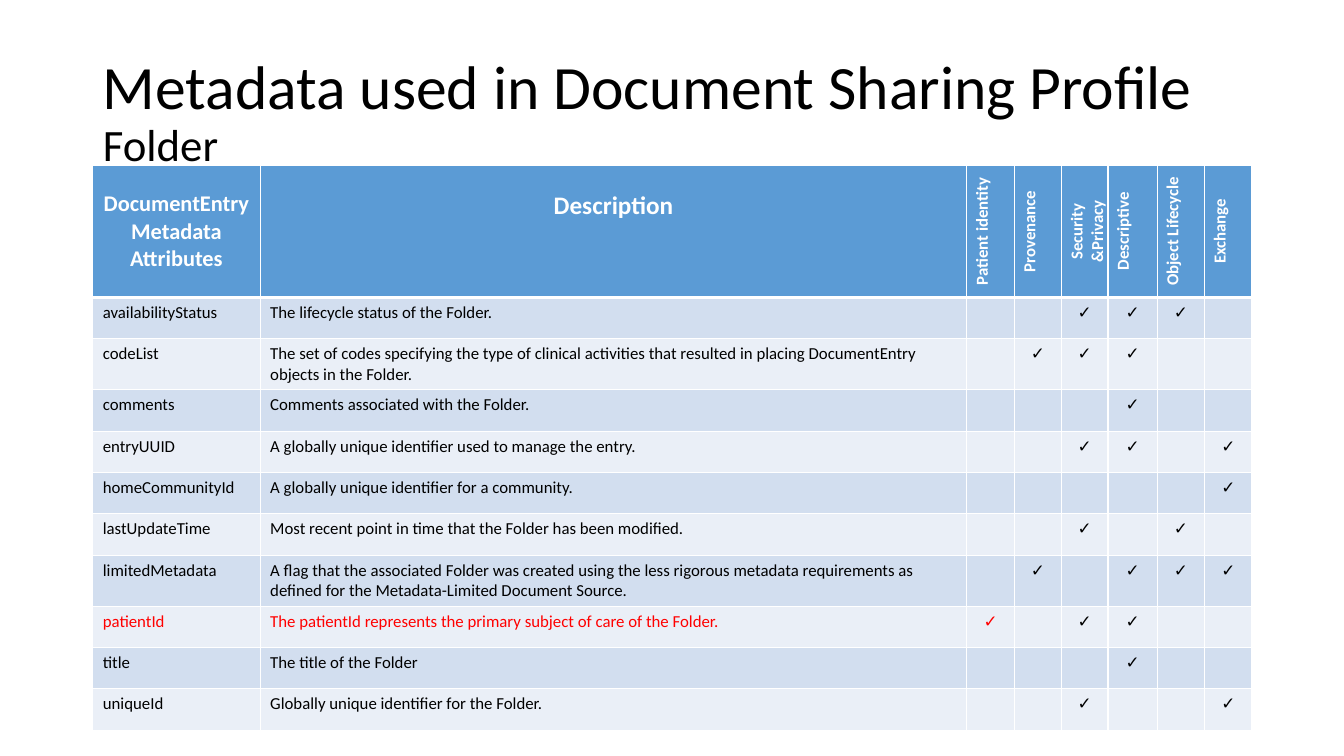
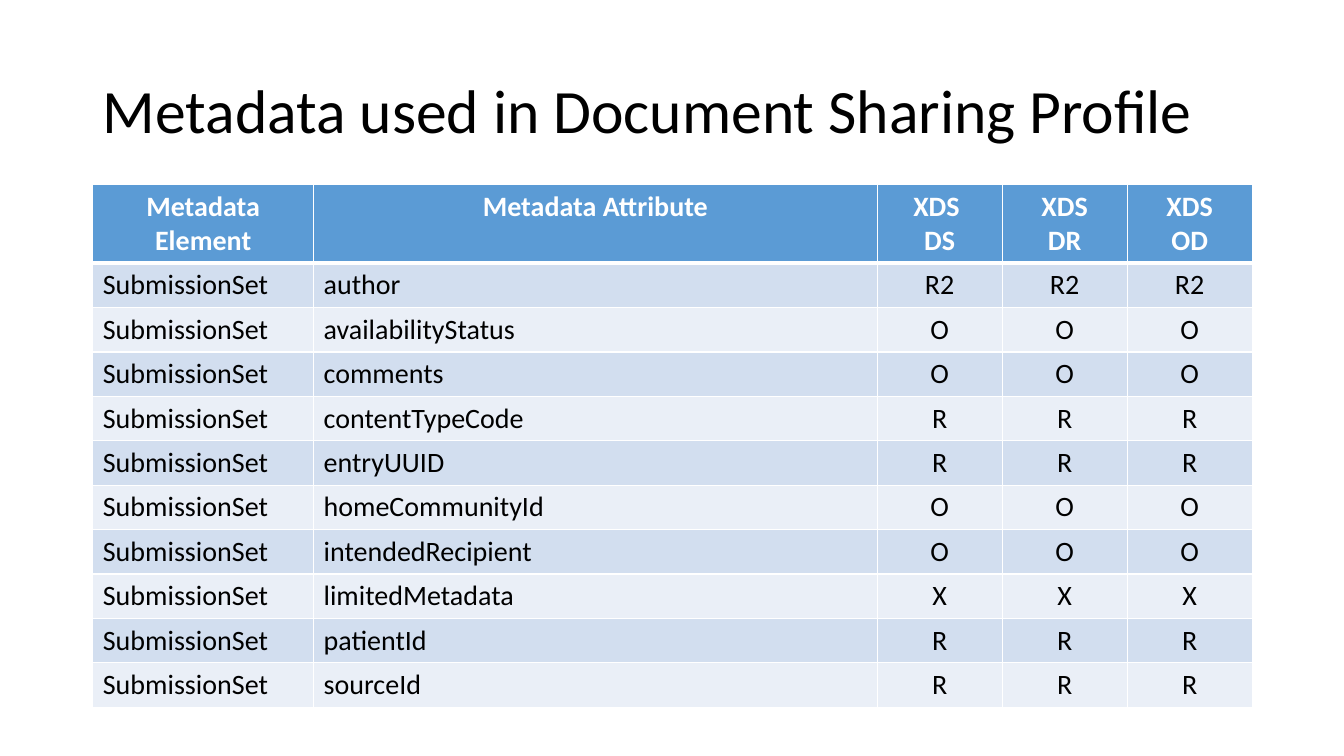
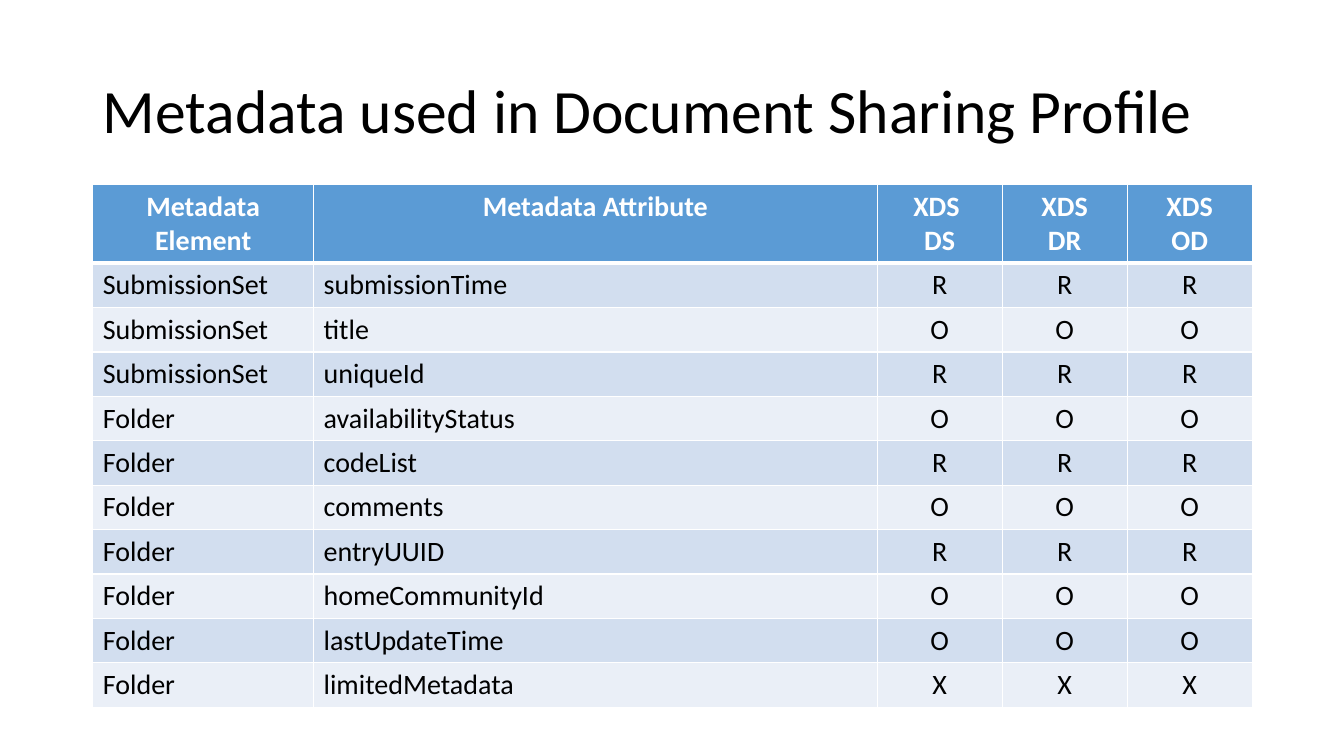
from lxml.etree import SubElement
from pptx import Presentation
from pptx.dml.color import RGBColor
from pptx.enum.text import MSO_ANCHOR as Anchor, MSO_AUTO_SIZE as AutoSize, PP_ALIGN as Align
from pptx.oxml.ns import qn
from pptx.util import Inches, Pt

COLORS = {
    "text": "000000",
    "white": "FFFFFF",
    "header": "5B9BD5",
    "band_dark": "D2DEEF",
    "band_light": "EAEFF7",
    "alert": "FF0000",
}
FONT = "Calibri"
TITLE = "Metadata used in Document Sharing Profile"
TITLE_BOX = (0.92, 0.4, 11.5, 1.45)
TABLE_LEFT = 0.92
ROW_HEIGHT = 0.41
TEXT_COLUMNS = 2

FOLDER_WIDTHS = [1.66, 7.01, 0.47, 0.47, 0.46, 0.49, 0.47, 0.47]
FOLDER_HEADINGS = [
    "DocumentEntry Metadata Attributes", "Description", "Patient identity", "Provenance",
    "Security &Privacy", "Descriptive", "Object Lifecycle", "Exchange",
]
FOLDER_ROWS = [
    ("availabilityStatus", "The lifecycle status of the Folder.", "--✓✓✓-"),
    ("codeList", "The set of codes specifying the type of clinical activities that resulted in "
     "placing DocumentEntry objects in the Folder.", "-✓✓✓--"),
    ("comments", "Comments associated with the Folder.", "---✓--"),
    ("entryUUID", "A globally unique identifier used to manage the entry.", "--✓✓-✓"),
    ("homeCommunityId", "A globally unique identifier for a community.", "-----✓"),
    ("lastUpdateTime", "Most recent point in time that the Folder has been modified.", "--✓-✓-"),
    ("limitedMetadata", "A flag that the associated Folder was created using the less rigorous "
     "metadata requirements as defined for the Metadata-Limited Document Source.", "-✓-✓✓✓"),
    ("patientId", "The patientId represents the primary subject of care of the Folder.", "✓-✓✓--"),
    ("title", "The title of the Folder", "---✓--"),
    ("uniqueId", "Globally unique identifier for the Folder.", "--✓--✓"),
]
ALERT_ROW = 8
ALERT_COLUMNS = 3

PROFILE_WIDTHS = [2.19, 5.59, 1.24, 1.24, 1.24]
PROFILE_HEADINGS = ["Metadata Element", "Metadata Attribute", "XDS \nDS", "XDS\nDR", "XDS\nOD"]
PROFILE_PAGES = [
    [("SubmissionSet", [
        ("author", "R2"), ("availabilityStatus", "O"), ("comments", "O"),
        ("contentTypeCode", "R"), ("entryUUID", "R"), ("homeCommunityId", "O"),
        ("intendedRecipient", "O"), ("limitedMetadata", "X"), ("patientId", "R"),
        ("sourceId", "R")])],
    [("SubmissionSet", [("submissionTime", "R"), ("title", "O"), ("uniqueId", "R")]),
     ("Folder", [
         ("availabilityStatus", "O"), ("codeList", "R"), ("comments", "O"), ("entryUUID", "R"),
         ("homeCommunityId", "O"), ("lastUpdateTime", "O"), ("limitedMetadata", "X")])],
]


def rgb(name):
    return RGBColor.from_string(COLORS[name])


def add_span(para, text, size, color="text", bold=False):
    span = para.add_run()
    span.text = text
    span.font.name = FONT
    span.font.size = Pt(size)
    span.font.bold = bold
    span.font.color.rgb = rgb(color)


def write(frame, text, align=Align.LEFT, **style):
    for index, line in enumerate(text.split("\n")):
        para = frame.add_paragraph() if index else frame.paragraphs[0]
        para.alignment = align
        add_span(para, line, **style)


def add_page(deck, subtitle=None):
    page = deck.slides.add_slide(deck.slide_layouts[5])
    title = page.shapes.title
    title.left, title.top, title.width, title.height = map(Inches, TITLE_BOX)
    frame = title.text_frame
    frame.word_wrap = True
    frame.auto_size = AutoSize.NONE
    frame.vertical_anchor = Anchor.MIDDLE
    write(frame, TITLE, size=44)
    para = frame.paragraphs[0]
    para.line_spacing = 0.9
    if subtitle:
        para.add_line_break()
        add_span(para, subtitle, size=32)
    return page


def set_borders(cell, top, bottom):
    properties = cell._tc.get_or_add_tcPr()
    widths = {"a:lnL": 1, "a:lnR": 1, "a:lnT": top, "a:lnB": bottom}
    for position, (tag, width) in enumerate(widths.items()):
        line = SubElement(properties, qn(tag), w=str(Pt(width)))
        fill = SubElement(line, qn("a:solidFill"))
        SubElement(fill, qn("a:srgbClr"), val=COLORS["white"])
        properties.insert(position, line)


def row_color(row):
    if row == 0:
        return "header"
    return "band_dark" if row % 2 else "band_light"


def add_grid(page, top, widths, header_height, rows, style_cell):
    heights = [header_height] + [ROW_HEIGHT] * (len(rows) - 1)
    box = page.shapes.add_table(
        len(rows), len(widths), Inches(TABLE_LEFT), Inches(top),
        Inches(sum(widths)), Inches(sum(heights)))
    page.shapes.title.element.addprevious(box.element)
    table = box.table
    for column, width in zip(table.columns, widths):
        column.width = Inches(width)
    for row, height in zip(table.rows, heights):
        row.height = Inches(height)
    for row, texts in enumerate(rows):
        for column, text in enumerate(texts):
            cell = table.cell(row, column)
            cell.fill.solid()
            cell.fill.fore_color.rgb = rgb(row_color(row))
            set_borders(cell, top=3 if row == 1 else 1, bottom=1 if row else 3)
            style = {"color": "text" if row else "white", "bold": row == 0}
            style.update(style_cell(row, column))
            centred = row == 0 or column >= TEXT_COLUMNS
            if text:
                write(cell.text_frame, text, Align.CENTER if centred else Align.LEFT, **style)
    return table


def folder_style(row, column):
    if row == 0:
        return {"size": {0: 16, 1: 18}.get(column, 12)}
    if row == ALERT_ROW and column < ALERT_COLUMNS:
        return {"size": 12, "color": "alert"}
    return {"size": 12}


def profile_style(row, column):
    return {"size": 20}


def add_folder_page(deck):
    page = add_page(deck, "Folder")
    rows = [FOLDER_HEADINGS]
    for name, description, marks in FOLDER_ROWS:
        rows.append([name, description] + [mark.strip("-") for mark in marks])
    table = add_grid(page, 1.64, FOLDER_WIDTHS, 1.3, rows, folder_style)
    for column in range(len(FOLDER_WIDTHS)):
        cell = table.cell(0, column)
        if column < TEXT_COLUMNS:
            cell.margin_top = Inches(0.25)
        else:
            cell._tc.get_or_add_tcPr().set("vert", "vert270")


def add_profile_page(deck, groups):
    page = add_page(deck)
    rows = [PROFILE_HEADINGS]
    for element, attributes in groups:
        rows += [[element, name] + [code] * 3 for name, code in attributes]
    add_grid(page, 1.83, PROFILE_WIDTHS, 0.64, rows, profile_style)


def main():
    deck = Presentation()
    deck.slide_width, deck.slide_height = Inches(13.33), Inches(7.5)
    add_folder_page(deck)
    for groups in PROFILE_PAGES:
        add_profile_page(deck, groups)
    deck.save("out.pptx")


if __name__ == "__main__":
    main()
